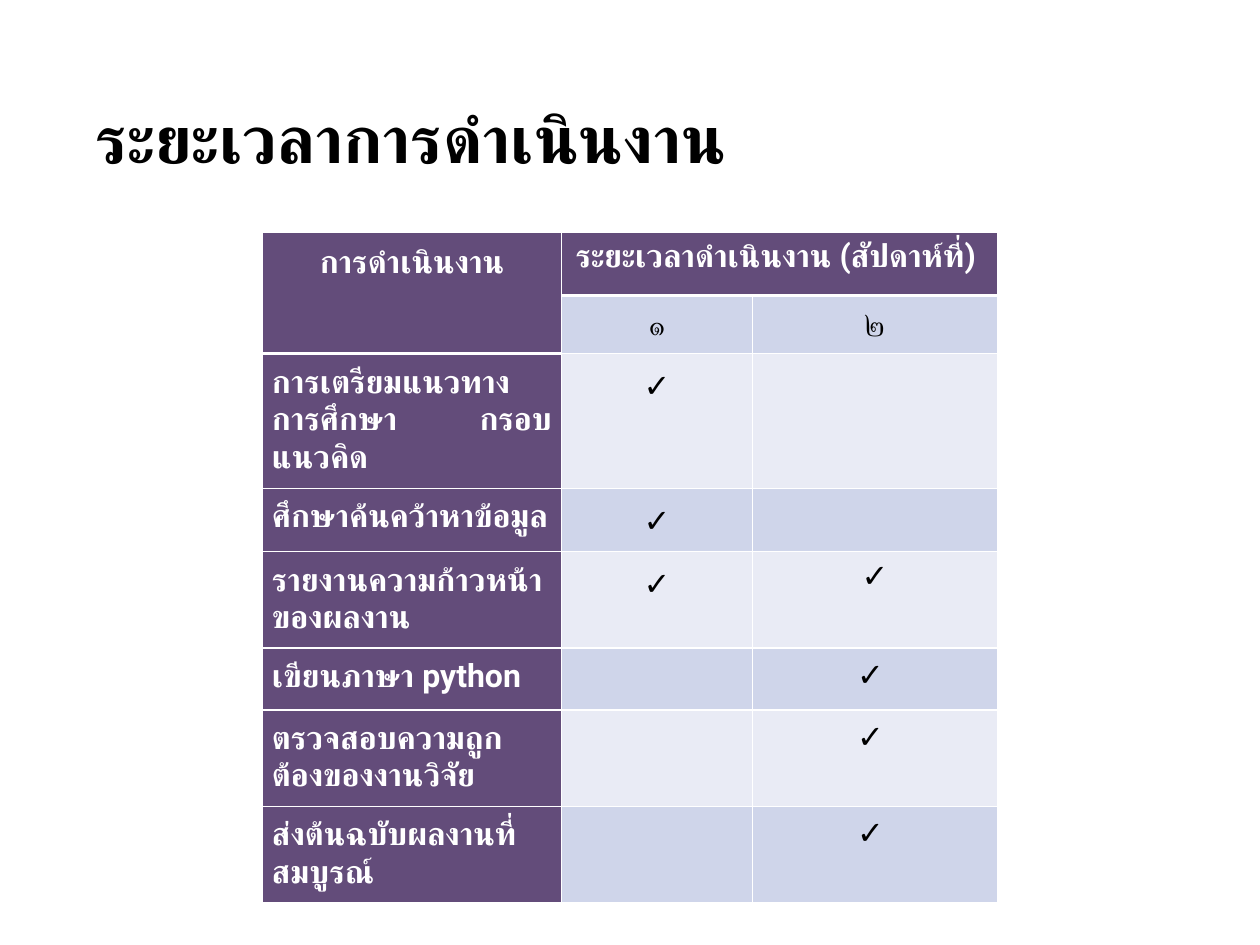
from dataclasses import dataclass

import lxml.etree
import pptx
import pptx.dml.color
import pptx.enum.text
import pptx.oxml.ns
import pptx.table
import pptx.text.text
import pptx.util

Inches = pptx.util.Inches
Pt = pptx.util.Pt
qn = pptx.oxml.ns.qn
ALIGN = pptx.enum.text.PP_ALIGN

COLORS = {
    "white": "FFFFFF",
    "black": "000000",
    "purple": "634C7A",
    "dark_band": "CFD5EA",
    "light_band": "E9EBF5",
}
COLUMN_WIDTHS = [3.38, 2.15, 2.77]
ROW_HEIGHTS = [0.71, 0.65, 1.08, 0.7, 1.08, 0.7, 1.08, 1.07]
FIRST_TASK_ROW = 2


@dataclass(frozen=True)
class TextStyle:
    size: float = 26
    font: str = "Roboto"
    color: str = "white"
    bold: bool = True
    align: ALIGN = ALIGN.CENTER
    line_spacing: float = 1.0
    space_after: float = 0
    margin_x: float = 0.11
    margin_y: float = 0.11


@dataclass(frozen=True)
class Task:
    name: str
    week_one: str = ""
    week_two: str = ""


TITLE = TextStyle(size=54, color="black", align=ALIGN.LEFT, line_spacing=0.9)
CORNER = TextStyle(line_spacing=1.15, margin_y=0.06)
HEADER = TextStyle(margin_y=0.06)
WEEK_ONE = TextStyle(color="black", bold=False)
WEEK_TWO = TextStyle(size=29, color="black", bold=False, margin_x=0.16, margin_y=0.08)
TASK_NAME = TextStyle(align=ALIGN.JUSTIFY)
MARK_ONE = TextStyle(font="Arial", color="black", bold=False, line_spacing=1.15, space_after=10)
MARK_TWO = TextStyle(font="Arial", color="black", bold=False)
MARK_BOTH = TextStyle(font="Arial", color="black", bold=False, margin_x=0.16, margin_y=0.08)

TASKS = [
    Task("การเตรียมแนวทางการศึกษา กรอบแนวคิด", "✓"),
    Task("ศึกษาค้นคว้าหาข้อมูล", "✓"),
    Task("รายงานความก้าวหน้าของผลงาน", "✓", "✓"),
    Task("เขียนภาษา python", "", "✓ "),
    Task("ตรวจสอบความถูกต้องของงานวิจัย", "", "✓ "),
    Task("ส่งต้นฉบับผลงานที่สมบูรณ์", "", "✓ "),
]


def rgb(name: str) -> pptx.dml.color.RGBColor:
    return pptx.dml.color.RGBColor.from_string(COLORS[name])


def write_text(frame: pptx.text.text.TextFrame, text: str, style: TextStyle) -> None:
    frame.text = text
    para = frame.paragraphs[0]
    para.alignment = style.align
    para.line_spacing = style.line_spacing
    para.space_after = Pt(style.space_after)
    for span in para.runs:
        span.font.size = Pt(style.size)
        span.font.name = style.font
        span.font.bold = style.bold
        span.font.color.rgb = rgb(style.color)
        complex_font = lxml.etree.SubElement(span.font._element, qn("a:cs"))
        complex_font.set("typeface", style.font)


def fill_cell(cell: pptx.table._Cell, text: str, style: TextStyle) -> None:
    if not text:
        return
    cell.margin_left = cell.margin_right = Inches(style.margin_x)
    cell.margin_top = cell.margin_bottom = Inches(style.margin_y)
    write_text(cell.text_frame, text, style)


def paint_cell(cell: pptx.table._Cell, color: str, top: float, bottom: float) -> None:
    properties = cell._tc.get_or_add_tcPr()
    for side, width in (("L", 1), ("R", 1), ("T", top), ("B", bottom)):
        line = lxml.etree.SubElement(properties, qn(f"a:ln{side}"), w=str(Pt(width)))
        solid = lxml.etree.SubElement(line, qn("a:solidFill"))
        lxml.etree.SubElement(solid, qn("a:srgbClr"), val=COLORS["white"])
    cell.fill.solid()
    cell.fill.fore_color.rgb = rgb(color)


def paint_table(table: pptx.table.Table) -> None:
    for row in range(len(ROW_HEIGHTS)):
        for column in range(len(COLUMN_WIDTHS)):
            header_end = 1 if column == 0 else 0
            is_header = row <= header_end
            band = "dark_band" if row % 2 else "light_band"
            color = "purple" if is_header or column == 0 else band
            top = 3 if row == header_end + 1 else 1
            bottom = 3 if is_header else 1
            paint_cell(table.cell(row, column), color, top, bottom)


def add_schedule(slide) -> None:
    frame = slide.shapes.add_table(
        len(ROW_HEIGHTS), len(COLUMN_WIDTHS), Inches(2.96), Inches(2.63),
        Inches(sum(COLUMN_WIDTHS)), Inches(sum(ROW_HEIGHTS)),
    )
    table = frame.table
    table.first_row = False
    table.horz_banding = False
    for column, width in zip(table.columns, COLUMN_WIDTHS):
        column.width = Inches(width)
    for row, height in zip(table.rows, ROW_HEIGHTS):
        row.height = Inches(height)
    paint_table(table)
    table.cell(0, 0).merge(table.cell(1, 0))
    table.cell(0, 1).merge(table.cell(0, 2))
    fill_cell(table.cell(0, 0), "การดำเนินงาน", CORNER)
    fill_cell(table.cell(0, 1), "ระยะเวลาดำเนินงาน (สัปดาห์ที่) ", HEADER)
    fill_cell(table.cell(1, 1), "๑", WEEK_ONE)
    fill_cell(table.cell(1, 2), "๒", WEEK_TWO)
    for row, task in enumerate(TASKS, FIRST_TASK_ROW):
        fill_cell(table.cell(row, 0), task.name, TASK_NAME)
        fill_cell(table.cell(row, 1), task.week_one, MARK_ONE)
        fill_cell(table.cell(row, 2), task.week_two, MARK_BOTH if task.week_one else MARK_TWO)


def add_title(slide) -> None:
    box = slide.shapes.add_textbox(Inches(0.98), Inches(0.57), Inches(12.27), Inches(2.06))
    box.text_frame.word_wrap = True
    box.text_frame.vertical_anchor = pptx.enum.text.MSO_ANCHOR.MIDDLE
    write_text(box.text_frame, "ระยะเวลาการดำเนินงาน", TITLE)


def main() -> None:
    deck = pptx.Presentation()
    deck.slide_width = Inches(14.22)
    deck.slide_height = Inches(10.67)
    page = deck.slides.add_slide(deck.slide_layouts[6])
    add_title(page)
    add_schedule(page)
    deck.save("out.pptx")


if __name__ == "__main__":
    main()
